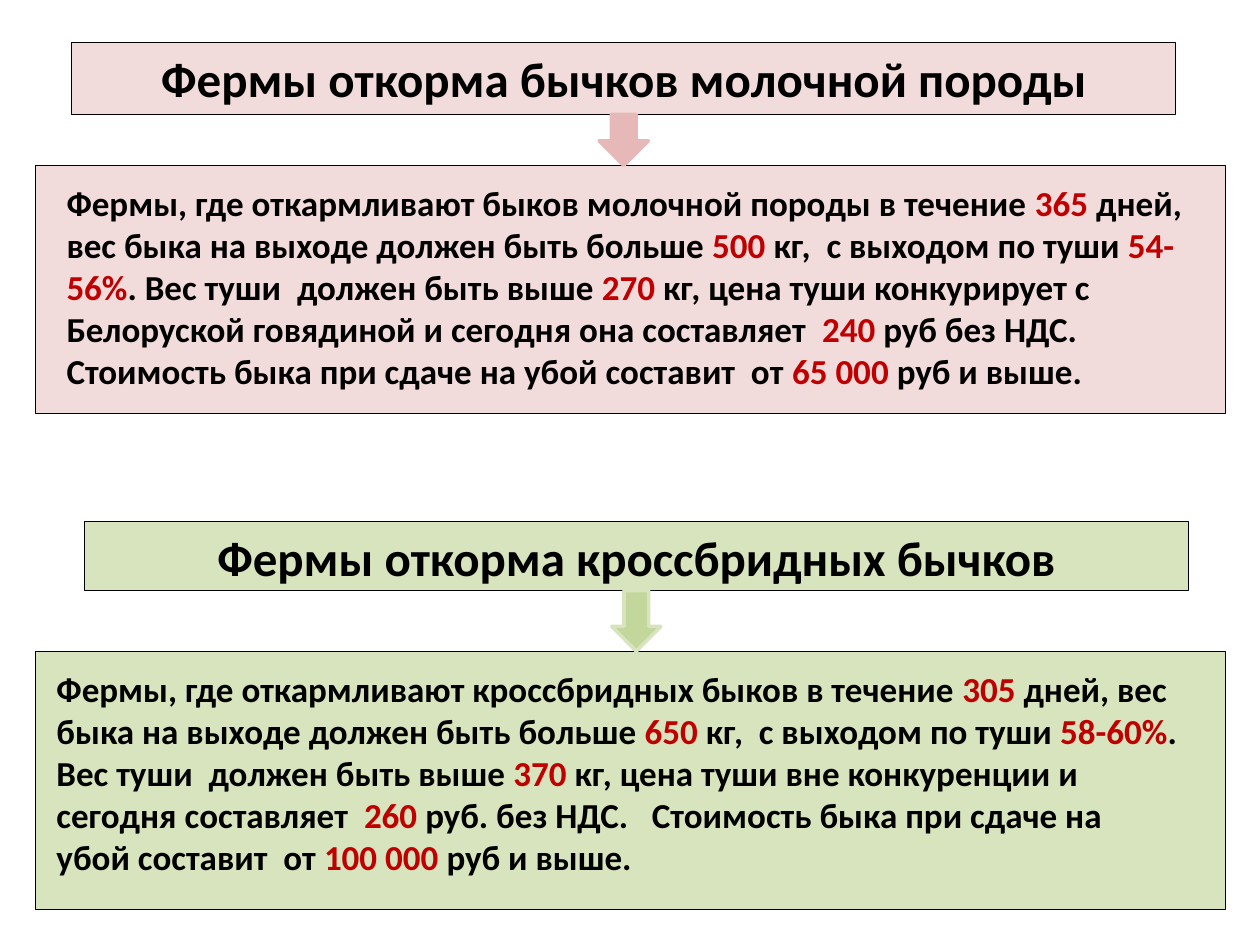
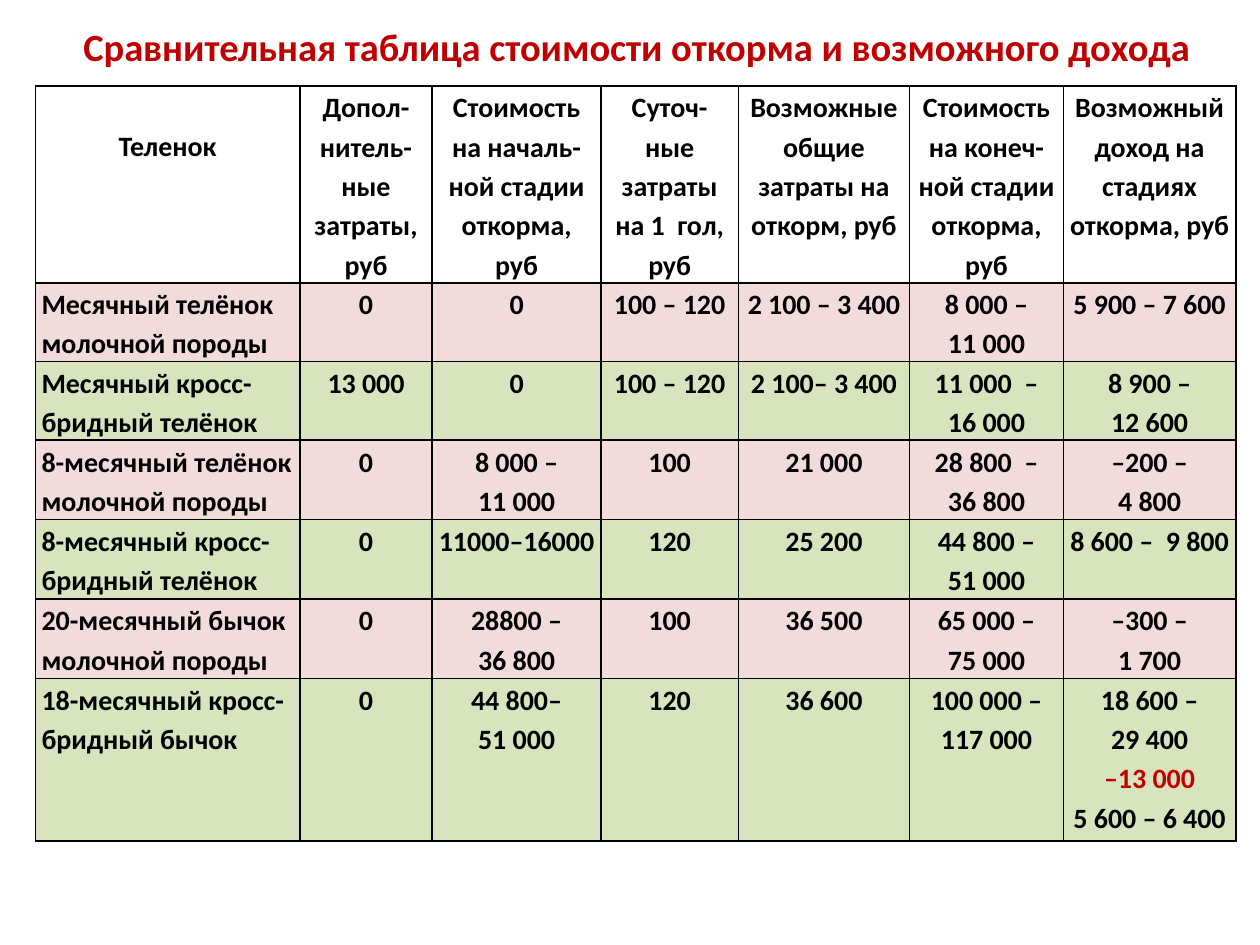
import dataclasses

import pptx
import pptx.dml.color
import pptx.enum.shapes
import pptx.enum.text
import pptx.oxml
import pptx.oxml.ns
import pptx.util

ALIGN = pptx.enum.text.PP_ALIGN
ANCHOR = pptx.enum.text.MSO_ANCHOR
FIT = pptx.enum.text.MSO_AUTO_SIZE
KIND = pptx.enum.shapes.MSO_SHAPE


@dataclasses.dataclass(frozen=True)
class Theme:
    """Colours, font and type sizes shared by the slides."""
    font: str = "Calibri"
    ink: str = "000000"
    red: str = "C00000"
    pink: str = "F2DCDB"
    rose: str = "E6B9B8"
    lime: str = "D7E4BD"
    leaf: str = "C3D69B"
    head: int = 28
    title: int = 22
    body: int = 20
    cell: int = 16


THEME = Theme()
WIDE, HIGH = pptx.util.Inches(10), pptx.util.Inches(7.5)

MILK = ("Фермы, где откармливают быков молочной породы в течение *365* дней, "
        "вес быка на выходе должен быть больше *500 *кг,  с выходом по туши "
        "*54-56%*. Вес туши  должен быть выше *270 *кг, цена туши конкурирует с "
        "Белоруской говядиной и сегодня она составляет  *240 *руб без НДС. "
        "Стоимость быка при сдаче на убой составит  от *65 000 *руб и выше.")
CROSS = ("Фермы, где откармливают кроссбридных быков в течение *305* дней, "
         "вес быка на выходе должен быть больше *650 *кг,  с выходом по туши "
         "*58-60%*.\nВес туши  должен быть выше *370 *кг, цена туши вне "
         "конкуренции и сегодня составляет  *260 *руб. без НДС.   Стоимость "
         "быка при сдаче на убой составит  от *100 000 *руб и выше.")

COLS = [21, 10.5, 13.4, 10.9, 13.6, 12.2, 13.7]
ROWS = [20.7, 8.1, 8.1, 8.4, 8.4, 8.4, 17.2]
COSTS = [
    ["Теленок", "Допол-нитель-ные затраты, руб",
     "Стоимость на началь-ной стадии откорма, руб",
     "Суточ-ные затраты на 1  гол, руб",
     "Возможные общие затраты на откорм, руб",
     "Стоимость на конеч-ной стадии откорма, руб",
     "Возможный доход на стадиях откорма, руб"],
    ["Месячный телёнок молочной породы", "0", "0", "100 – 120",
     "2 100 – 3 400", "8 000 –\n11 000", "5 900 – 7 600"],
    ["Месячный кросс-бридный телёнок", "13 000", "0", "100 – 120",
     "2 100– 3 400", "11 000  –\n16 000", "8 900 –\n12 600"],
    ["8-месячный телёнок молочной породы", "0", "8 000 –\n11 000", "100",
     "21 000", "28 800  –\n36 800", "–200 –\n4 800"],
    ["8-месячный кросс-бридный телёнок", "0", "11000–16000", "120",
     "25 200", "44 800 –\n51 000", "8 600 –  9 800"],
    ["20-месячный бычок молочной породы", "0", "28800 –\n36 800", "100",
     "36 500", "65 000 –\n75 000", "–300 –\n1 700"],
    ["18-месячный кросс-бридный бычок", "0", "44 800–\n51 000", "120",
     "36 600", "100 000 – 117 000",
     "18 600 –\n29 400\n*–13 000*\n5 600 – 6 400"],
]


def across(share):
    """Turn a percentage of the slide's width into a length."""
    return pptx.util.Emu(round(WIDE * share / 100))


def down(share):
    """Turn a percentage of the slide's height into a length."""
    return pptx.util.Emu(round(HIGH * share / 100))


def area(x, y, w, h):
    """Turn percentages into left, top, width and height."""
    return across(x), down(y), across(w), down(h)


def place(shape, box):
    """Move and size a shape."""
    shape.left, shape.top, shape.width, shape.height = area(*box)


def colour(code):
    """Give the colour of a hex code."""
    return pptx.dml.color.RGBColor.from_string(code)


def write(frame, text, size, align=ALIGN.LEFT, ink=THEME.ink, gap=0, pitch=1):
    """Fill a frame with bold text, where stars enclose red runs."""
    frame.word_wrap = True
    for row, line in enumerate(text.split("\n")):
        para = frame.add_paragraph() if row else frame.paragraphs[0]
        para.alignment = align
        para.space_after = pptx.util.Pt(gap)
        para.line_spacing = pitch
        for turn, part in enumerate(line.split("*")):
            if part:
                run = para.add_run()
                run.text = part
                run.font.name = THEME.font
                run.font.size = pptx.util.Pt(size)
                run.font.bold = True
                run.font.color.rgb = colour(THEME.red if turn % 2 else ink)


def paint(shape, fill, edge=THEME.ink, width=0.5):
    """Give a shape a flat fill and an outline."""
    shape.shadow.inherit = False
    shape.fill.solid()
    shape.fill.fore_color.rgb = colour(fill)
    shape.line.color.rgb = colour(edge)
    shape.line.width = pptx.util.Pt(width)


def banner(shape, text, fill):
    """Make a shape a filled heading."""
    paint(shape, fill)
    frame = shape.text_frame
    frame.auto_size = FIT.NONE
    frame.vertical_anchor = ANCHOR.TOP
    write(frame, text, THEME.head, ALIGN.CENTER, gap=10)


def panel(slide, box, fill):
    """Add a filled rectangle."""
    shape = slide.shapes.add_shape(KIND.RECTANGLE, *area(*box))
    paint(shape, fill)
    return shape


def arrow(slide, top, base, fill, edge):
    """Add an arrow from the foot of one box to the top of another."""
    x, y, w, h = top
    wide, foot = 3.9, y + h
    box = area(x + (w - wide) / 2, foot, wide, base[1] - foot)
    paint(slide.shapes.add_shape(KIND.DOWN_ARROW, *box), fill, edge, 2)


def story(slide, box, text):
    """Add a paragraph box."""
    frame = slide.shapes.add_textbox(*area(*box)).text_frame
    write(frame, text, THEME.body)
    frame.auto_size = FIT.SHAPE_TO_FIT_TEXT


def frame_cell(cell):
    """Draw thin lines round a cell."""
    props = cell._tc.get_or_add_tcPr()
    space = pptx.oxml.ns.nsdecls("a")
    for side in "LRTB":
        props.append(pptx.oxml.parse_xml(
            f'<a:ln{side} {space} w="12700"><a:solidFill>'
            f'<a:srgbClr val="{THEME.ink}"/></a:solidFill></a:ln{side}>'))


def grid(slide, x, y):
    """Add the cost table."""
    box = area(x, y, sum(COLS), sum(ROWS))
    table = slide.shapes.add_table(len(ROWS), len(COLS), *box).table
    for col, share in zip(table.columns, COLS):
        col.width = across(share)
    for row, share in zip(table.rows, ROWS):
        row.height = down(share)
    for r, line in enumerate(COSTS):
        for c, text in enumerate(line):
            cell = table.cell(r, c)
            frame_cell(cell)
            cell.margin_left = cell.margin_right = pptx.util.Inches(0.05)
            cell.margin_top = pptx.util.Inches(0 if r or c else 0.31)
            cell.margin_bottom = 0
            if r:
                cell.fill.solid()
                cell.fill.fore_color.rgb = colour(
                    THEME.pink if r % 2 else THEME.lime)
            else:
                cell.fill.background()
            align = ALIGN.LEFT if r and not c else ALIGN.CENTER
            write(cell.text_frame, text, THEME.cell, align, pitch=1.15)


def farms(slide):
    """Build the slide on the two kinds of farm."""
    top, base = (5.7, 4.5, 87.6, 7.6), (2.8, 17.5, 94.5, 26.3)
    place(slide.shapes.title, top)
    banner(slide.shapes.title, "Фермы откорма бычков молочной породы",
           THEME.pink)
    panel(slide, base, THEME.pink)
    arrow(slide, top, base, THEME.rose, THEME.rose)
    story(slide, (4.3, 18.5, 91.3, 23.7), MILK)

    top, base = (6.7, 55.2, 87.6, 7.3), (2.8, 68.9, 94.5, 27.3)
    banner(panel(slide, top, THEME.lime), "Фермы откорма кроссбридных бычков",
           THEME.lime)
    panel(slide, base, THEME.lime)
    arrow(slide, top, base, THEME.leaf, THEME.lime)
    story(slide, (3.5, 70, 91.3, 23.7), CROSS)


def costs(slide):
    """Build the slide that compares costs and income."""
    title = slide.shapes.title
    place(title, (2.8, 1.7, 95.5, 6.3))
    title.text_frame.auto_size = FIT.NONE
    title.text_frame.vertical_anchor = ANCHOR.MIDDLE
    write(title.text_frame,
          "Сравнительная таблица стоимости откорма и возможного дохода",
          THEME.title, ALIGN.CENTER, THEME.red)
    grid(slide, 2.8, 9.1)


def main():
    """Build and save the deck."""
    deck = pptx.Presentation()
    deck.slide_width, deck.slide_height = WIDE, HIGH
    for build in (farms, costs):
        build(deck.slides.add_slide(deck.slide_layouts[5]))
    deck.save("out.pptx")


if __name__ == "__main__":
    main()
